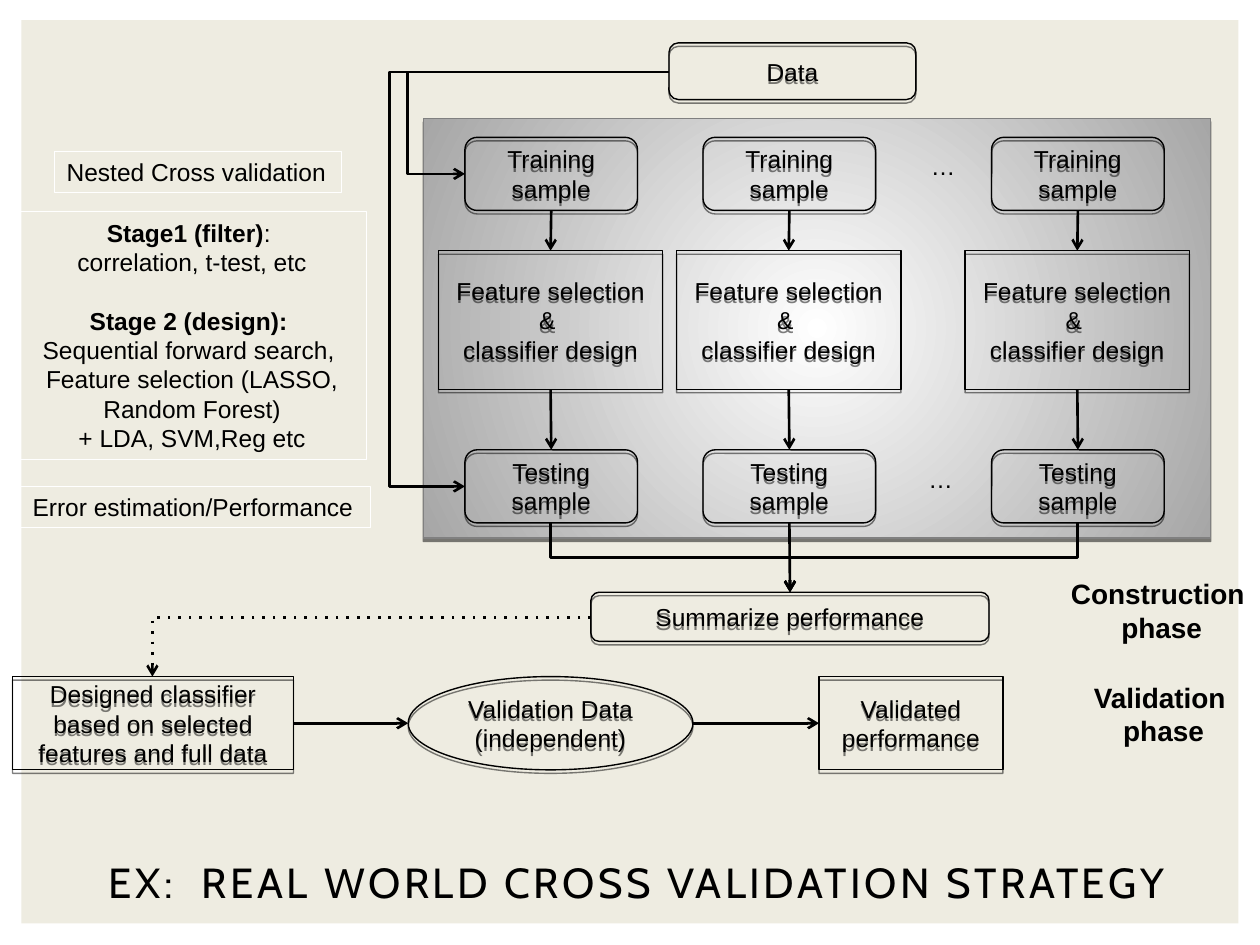
from dataclasses import dataclass

from lxml import etree
from pptx import Presentation
from pptx.dml.color import RGBColor
from pptx.enum.dml import MSO_LINE
from pptx.enum.shapes import MSO_CONNECTOR, MSO_SHAPE
from pptx.enum.text import MSO_ANCHOR, MSO_AUTO_SIZE, PP_ALIGN
from pptx.oxml import parse_xml
from pptx.oxml.ns import nsdecls, qn
from pptx.util import Inches, Pt

RECTANGLE, ROUNDED, OVAL = MSO_SHAPE.RECTANGLE, MSO_SHAPE.ROUNDED_RECTANGLE, MSO_SHAPE.OVAL
STRAIGHT, ELBOW = MSO_CONNECTOR.STRAIGHT, MSO_CONNECTOR.ELBOW
LEFT, CENTER = PP_ALIGN.LEFT, PP_ALIGN.CENTER
TOP_SIDE, LEFT_SIDE, BOTTOM_SIDE, RIGHT_SIDE = range(4)


@dataclass(frozen=True)
class Theme:
    ink: RGBColor = RGBColor(0x00, 0x00, 0x00)
    white: RGBColor = RGBColor(0xFF, 0xFF, 0xFF)
    paper: RGBColor = RGBColor(0xEE, 0xEC, 0xE1)
    panel_edge: RGBColor = RGBColor(0x80, 0x80, 0x80)
    panel_fill: RGBColor = RGBColor(0xA6, 0xA6, 0xA6)
    body_font: str = "Arial"
    title_font: str = "Cabin"
    body: Pt = Pt(14)
    phase: Pt = Pt(16)
    title: Pt = Pt(24)
    outline: Pt = Pt(0.79)
    arrow: Pt = Pt(1.5)


theme = Theme()
presentation = Presentation()
presentation.slide_width = Inches(10)
presentation.slide_height = Inches(7.5)
slide = presentation.slides.add_slide(presentation.slide_layouts[6])


def add_box(kind, left, top, width, height, text="", line=theme.ink, shadow=True,
            align=CENTER, size=theme.body, wrap=True):
    """Add an outlined shape, or a text box when kind is None."""
    frame = [Inches(value) for value in (left, top, width, height)]
    if kind is None:
        shape = slide.shapes.add_textbox(*frame)
    else:
        shape = slide.shapes.add_shape(kind, *frame)
        shape.fill.background()
        shape.shadow.inherit = False
        shape.line.color.rgb = line
        shape.line.width = theme.outline if shadow else 0
        if shadow:
            shape._element.spPr.find(qn("a:effectLst")).append(parse_xml(
                f'<a:outerShdw {nsdecls("a")} blurRad="0" dist="25400" dir="5400000" '
                'rotWithShape="0"><a:srgbClr val="000000"><a:alpha val="50000"/>'
                '</a:srgbClr></a:outerShdw>'))
    text_frame = shape.text_frame
    text_frame.word_wrap = wrap
    text_frame.vertical_anchor = MSO_ANCHOR.MIDDLE if shadow else MSO_ANCHOR.TOP
    if not wrap:
        text_frame.auto_size = MSO_AUTO_SIZE.SHAPE_TO_FIT_TEXT
    if text:
        text_frame.text = text
    for paragraph in text_frame.paragraphs:
        paragraph.alignment = align
        paragraph.font.name = theme.body_font
        paragraph.font.size = size
        paragraph.font.color.rgb = theme.ink
    return shape


def add_arrow(kind, start_x, start_y, end_x, end_y, begin=None, end=None):
    """Add an arrow; begin and end are (shape, side) pairs to join."""
    arrow = slide.shapes.add_connector(
        kind, Inches(start_x), Inches(start_y), Inches(end_x), Inches(end_y))
    if begin:
        arrow.begin_connect(*begin)
    if end:
        arrow.end_connect(*end)
    arrow.line.color.rgb = theme.ink
    arrow.line.width = theme.arrow
    etree.SubElement(arrow.line._get_or_add_ln(), qn("a:tailEnd"), type="arrow")
    etree.SubElement(arrow._element.spPr, qn("a:effectLst"))
    return arrow


# Background sheet
sheet = add_box(RECTANGLE, 0.17, 0.16, 9.66, 7.17, shadow=False)
sheet.fill.solid()
sheet.fill.fore_color.rgb = theme.paper
sheet.line.fill.background()

# Title
title = add_box(None, 0.47, 6.42, 9.17, 1.15,
                "EX:  REAL WORLD CROSS VALIDATION STRATEGY", size=theme.title)
title_paragraph = title.text_frame.paragraphs[0]
title_paragraph.font.name = theme.title_font
title_paragraph.runs[0].font._element.set("spc", "200")

# Panel with a gradient that spreads from its centre
panel = add_box(RECTANGLE, 3.36, 0.94, 6.25, 3.33, line=theme.panel_edge)
panel.fill.gradient()
for stop, position, color in zip(panel.fill.gradient_stops, (0, 1),
                                 (theme.white, theme.panel_fill)):
    stop.position = position
    stop.color.rgb = color
gradient = panel._element.spPr.find(qn("a:gradFill"))
gradient.replace(gradient.find(qn("a:lin")), parse_xml(
    f'<a:path {nsdecls("a")} path="circle">'
    '<a:fillToRect l="50000" t="50000" r="50000" b="50000"/></a:path>'))

# Data and summary
add_box(ROUNDED, 5.31, 0.34, 1.96, 0.45, "Data")
summary = add_box(ROUNDED, 4.69, 4.7, 3.16, 0.39, "Summarize performance")

# Cross-validation columns: training, design, testing
column_centers = (4.37, 6.26, 8.55)
testing_boxes = []
for center in column_centers:
    training = add_box(ROUNDED, center - 0.68, 1.09, 1.37, 0.58, "Training sample")
    design = add_box(RECTANGLE, center - 0.89, 1.99, 1.78, 1.1,
                     "Feature selection & \nclassifier design")
    testing = add_box(ROUNDED, center - 0.68, 3.57, 1.37, 0.58, "Testing sample")
    for upper, lower in ((training, design), (design, testing)):
        add_arrow(STRAIGHT, center, 1.67, center, 1.99,
                  (upper, BOTTOM_SIDE), (lower, TOP_SIDE))
    testing_boxes.append(testing)
for left, top in ((7.29, 1.15), (7.27, 3.63)):
    add_box(None, left, top, 0.39, 0.33, "…", shadow=False, align=LEFT, wrap=False)

# Data to the first training and testing samples
for end_y, bend in ((3.86, 136800), (1.38, 128100)):
    arrow = add_arrow(ELBOW, 5.31, 0.57, 3.69, end_y)
    arrow._element.spPr.prstGeom.get_or_add_avLst().append(parse_xml(
        f'<a:gd {nsdecls("a")} name="adj1" fmla="val {bend}"/>'))

# Testing samples to the summary; the outer elbows are turned to run downwards
add_arrow(STRAIGHT, 6.26, 4.15, 6.27, 4.7,
          (testing_boxes[1], BOTTOM_SIDE), (summary, TOP_SIDE))
summary_x, testing_bottom, summary_top = 6.27, 4.15, 4.7
half_drop = (summary_top - testing_bottom) / 2
middle_y = testing_bottom + half_drop
for center in (column_centers[0], column_centers[2]):
    middle_x = (center + summary_x) / 2
    half_span = (center - summary_x) / 2
    elbow = add_arrow(ELBOW, middle_x - half_drop, middle_y - half_span,
                      middle_x + half_drop, middle_y + half_span)
    elbow._element.spPr.find(qn("a:xfrm")).set("rot", "5400000")

# Validation row
row = {"top": 5.37, "height": 0.74}
classifier = add_box(RECTANGLE, 0.1, width=2.23, **row,
                     text="Designed classifier based on selected features and full data")
validation = add_box(OVAL, 3.24, width=2.26, **row, text="Validation Data (independent)")
validated = add_box(RECTANGLE, 6.5, width=1.46, **row, text="Validated performance")
add_arrow(STRAIGHT, 2.33, 5.74, 3.24, 5.74, begin=(classifier, RIGHT_SIDE))
add_arrow(STRAIGHT, 5.5, 5.74, 6.5, 5.74, end=(validated, LEFT_SIDE))

# Dotted single-bend arrow from the summary to the classifier
dotted = add_arrow(ELBOW, 4.69, 4.9, 1.21, 5.37)
dotted._element.spPr.prstGeom.set("prst", "bentConnector2")
dotted.line.dash_style = MSO_LINE.ROUND_DOT
dotted.line._get_or_add_ln().find(qn("a:prstDash")).set("val", "dot")

# Phase labels
for name, left, top, width in (("Construction", 8.4, 4.53, 1.64),
                               ("Validation", 8.58, 5.35, 1.31)):
    label = add_box(None, left, top, width, 0.63, f"{name} \nphase",
                    shadow=False, size=theme.phase, wrap=False)
    for paragraph in label.text_frame.paragraphs:
        paragraph.font.bold = True

# Side notes, wide enough to hold each text on one line
for text, left, top, width in (("Nested Cross validation", 0.43, 1.2, 2.28),
                               ("Error estimation/Performance", 0.16, 3.86, 2.78)):
    add_box(RECTANGLE, left, top, width, 0.33, text, theme.white, False, LEFT, wrap=False)
stages = add_box(RECTANGLE, 0.14, 1.68, 2.77, 1.97, "\n".join((
    "Stage1 (filter)",
    "correlation, t-test, etc",
    "Stage 2 (design): ",
    "Sequential forward search, ",
    "Feature selection (LASSO, Random Forest)",
    "+ LDA, SVM,Reg etc")), theme.white, shadow=False)
filter_heading, _, design_heading = stages.text_frame.paragraphs[:3]
filter_heading.runs[0].font.bold = True
filter_heading.add_run().text = ": "
design_heading.font.bold = True
design_heading.space_before = Pt(16.5)

presentation.save("out.pptx")
